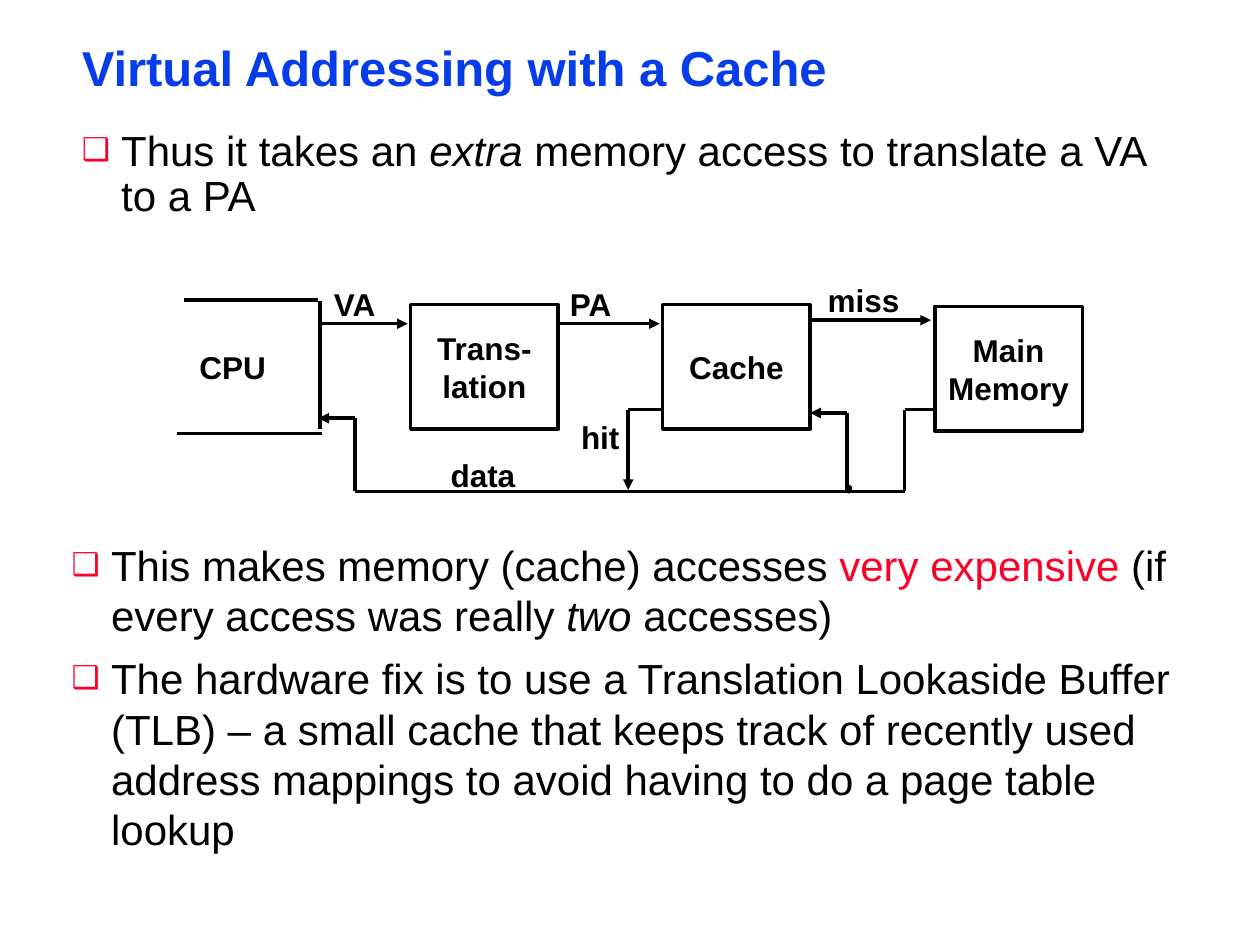
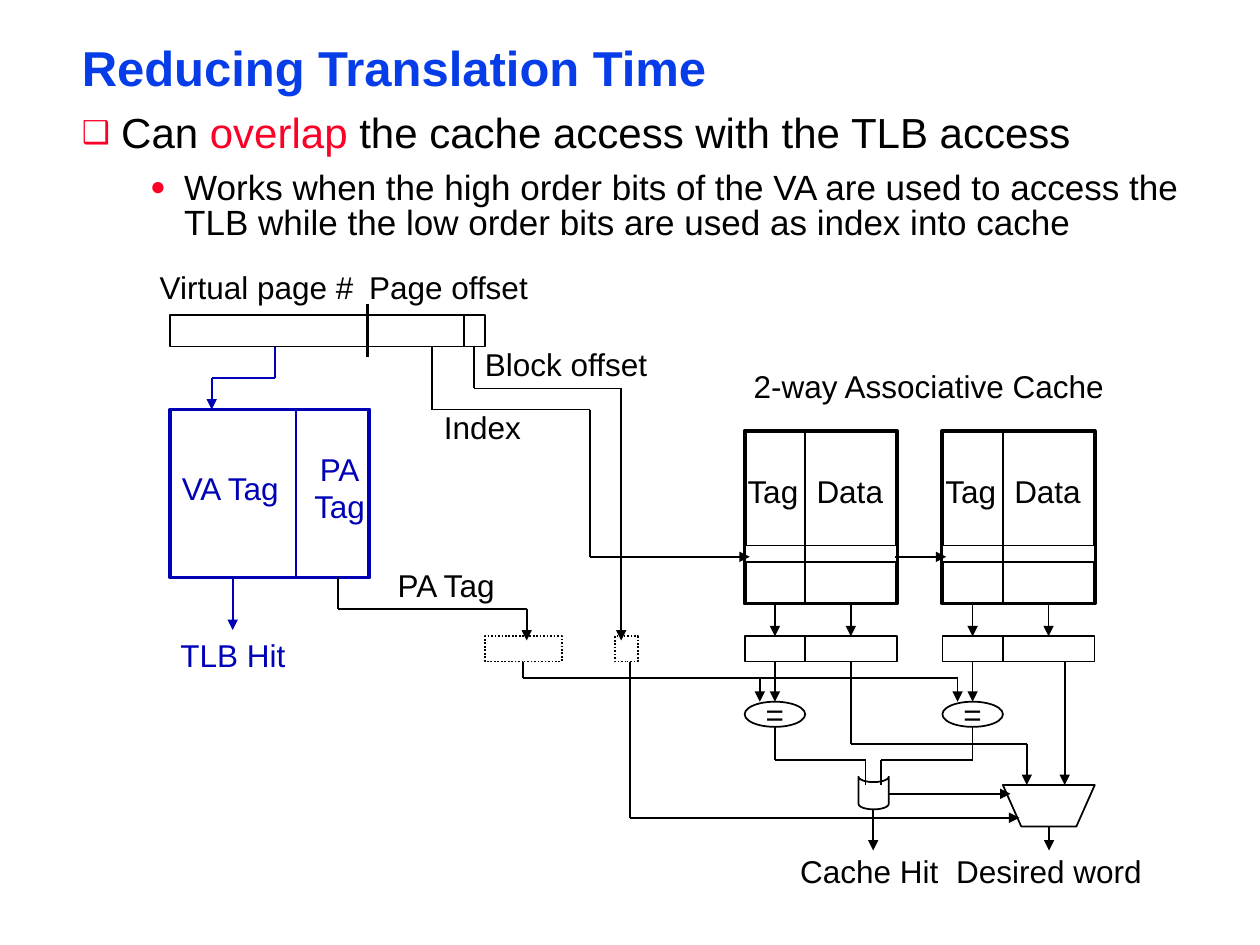
"""Build two slides on virtual addressing, caches and the TLB."""
from itertools import pairwise

from pptx import Presentation, oxml, util as u
from pptx.dml import color
from pptx.enum import dml, shapes, text
from pptx.oxml import ns

COLORS = {
    "title": "063DE8",
    "accent": "FC0128",
    "ink": "000000",
    "paper": "FFFFFF",
    "tlb": "0000B6",
}
FONT = "Arial"
BODY_LEFT, BODY_WIDTH = 41.75, 642.25
TIGHT, NORMAL = (5, 2.2), (7.2, 3.6)
THIN, MEDIUM, THICK = 1, 2, 2.25
BLOCK_BULLET, DOT_BULLET = "\u2751", "\u25cf"
KIND = shapes.MSO_SHAPE


def rgb(name):
    return color.RGBColor.from_string(COLORS[name])


def points(*values):
    return [u.Pt(value) for value in values]


def style_run(run, size, name="ink", bold=False, italic=False):
    run.font.name = FONT
    run.font.size = u.Pt(size)
    run.font.bold = bold
    run.font.italic = italic
    run.font.color.rgb = rgb(name)


def set_frame(frame, insets, anchor, wrap=True):
    frame.margin_left = frame.margin_right = u.Pt(insets[0])
    frame.margin_top = frame.margin_bottom = u.Pt(insets[1])
    frame.vertical_anchor = anchor
    frame.word_wrap = wrap


def place(shape, left, top, width, height):
    shape.left, shape.top, shape.width, shape.height = points(left, top, width, height)


def set_bullet(paragraph, character, left, hanging):
    properties = paragraph._p.get_or_add_pPr()
    properties.set("marL", str(u.Pt(left)))
    properties.set("indent", str(-u.Pt(hanging)))
    bullet_color = oxml.parse_xml(
        f'<a:buClr {ns.nsdecls("a")}><a:srgbClr val="{COLORS["accent"]}"/></a:buClr>')
    bullet_size = oxml.parse_xml(f'<a:buSzPct {ns.nsdecls("a")} val="75000"/>')
    bullet_font = oxml.parse_xml(f'<a:buFont {ns.nsdecls("a")} typeface="{FONT}"/>')
    bullet = oxml.parse_xml(f'<a:buChar {ns.nsdecls("a")} char="{character}"/>')
    properties.extend([bullet_color, bullet_size, bullet_font, bullet])


def fill_list(frame, items, spacing=None):
    """Write (level, pieces) items, each piece being (wording, run style)."""
    set_frame(frame, TIGHT, text.MSO_ANCHOR.TOP)
    frame.auto_size = text.MSO_AUTO_SIZE.NONE
    for index, (level, pieces) in enumerate(items):
        paragraph = frame.add_paragraph() if index else frame.paragraphs[0]
        paragraph.level = level
        paragraph.alignment = text.PP_ALIGN.LEFT
        paragraph.space_before = u.Pt(8 if level else 7.2) if index else u.Pt(0)
        paragraph.line_spacing = spacing[level] if spacing else 1
        if level:
            set_bullet(paragraph, DOT_BULLET, 58.5, 19.5)
        else:
            set_bullet(paragraph, BLOCK_BULLET, 22.5, 22.5)
        for wording, style in pieces:
            run = paragraph.add_run()
            run.text = wording
            style_run(run, 20 if level else 24, **style)


def add_content_slide(presentation, title, top, height, items):
    """Add a slide with the shared title style and a bulleted body."""
    slide = presentation.slides.add_slide(presentation.slide_layouts[1])
    heading, body = slide.shapes.title, slide.placeholders[1]
    place(heading, BODY_LEFT, 24, BODY_WIDTH, 33)
    heading.text_frame.text = title
    set_frame(heading.text_frame, TIGHT, text.MSO_ANCHOR.TOP)
    heading.text_frame.auto_size = text.MSO_AUTO_SIZE.NONE
    paragraph = heading.text_frame.paragraphs[0]
    paragraph.alignment = text.PP_ALIGN.LEFT
    paragraph.line_spacing = 0.87
    style_run(paragraph.runs[0], 28, "title", bold=True)
    place(body, BODY_LEFT, top, BODY_WIDTH, height)
    fill_list(body.text_frame, items, spacing=(0.9, 0.85))
    return slide


def write_lines(frame, wording, name, bold, centred=True, spacing=None):
    frame.text = wording
    for paragraph in frame.paragraphs:
        paragraph.alignment = text.PP_ALIGN.CENTER if centred else text.PP_ALIGN.LEFT
        if spacing:
            paragraph.line_spacing = spacing
        for run in paragraph.runs:
            style_run(run, 18, name, bold=bold)


def add_label(canvas, wording, left, top, width, height=28.8, name="ink", centred=True):
    box = canvas.add_textbox(*points(left, top, width, height))
    set_frame(box.text_frame, NORMAL, text.MSO_ANCHOR.MIDDLE, wrap=not centred)
    box.text_frame.auto_size = text.MSO_AUTO_SIZE.SHAPE_TO_FIT_TEXT
    write_lines(box.text_frame, wording, name, bold=False, centred=centred)


def add_signal_label(canvas, wording, left, top, width):
    box = canvas.add_textbox(*points(left, top, width, 22.3))
    set_frame(box.text_frame, (0, TIGHT[1]), text.MSO_ANCHOR.TOP, wrap=False)
    box.text_frame.auto_size = text.MSO_AUTO_SIZE.NONE
    write_lines(box.text_frame, wording, "ink", bold=True, spacing=0.85)


def add_block(canvas, kind, left, top, width, height, line="ink", weight=THIN,
              fill="paper", dotted=False):
    block = canvas.add_shape(kind, *points(left, top, width, height))
    block.shadow.inherit = False
    if fill:
        block.fill.solid()
        block.fill.fore_color.rgb = rgb(fill)
    else:
        block.fill.background()
    block.line.color.rgb = rgb(line)
    block.line.width = u.Pt(weight)
    if dotted:
        block.line.dash_style = dml.MSO_LINE.ROUND_DOT
    return block


def add_wire(canvas, *stops, name="ink", weight=THIN, arrow=False):
    """Join the stops with straight lines, with an optional arrowhead at the end."""
    for start, end in pairwise(stops):
        wire = canvas.add_connector(shapes.MSO_CONNECTOR.STRAIGHT, *points(*start, *end))
        wire.line.color.rgb = rgb(name)
        wire.line.width = u.Pt(weight)
        properties = wire.element.spPr
        if arrow and end == stops[-1]:
            head = oxml.parse_xml(f'<a:tailEnd {ns.nsdecls("a")} type="triangle"/>')
            properties.find(ns.qn("a:ln")).append(head)
        properties.append(oxml.parse_xml(f'<a:effectLst {ns.nsdecls("a")}/>'))


def add_memory_path(canvas):
    """Draw the CPU, translation, cache and main memory with their signals."""
    for start, end in (((105, 171.3), (182, 171.3)), ((183, 172), (183, 245)),
                       ((184, 247.8), (101, 247.8))):
        add_wire(canvas, start, end, weight=MEDIUM)

    for wording, left, top in (("Trans-\nlation", 234.7, 174), ("Cache", 378.7, 174),
                               ("Main\nMemory", 534.2, 175)):
        block = add_block(canvas, KIND.RECTANGLE, left, top, 84.3, 71.3,
                          weight=MEDIUM, fill=None)
        set_frame(block.text_frame, NORMAL, text.MSO_ANCHOR.MIDDLE, wrap=False)
        write_lines(block.text_frame, wording, "ink", bold=True)

    data_line = 280.8
    for stops, arrow in (
        (((184, 185), (233, 185)), True),
        (((319, 185), (377, 185)), True),
        (((463.5, 183), (532, 183)), True),
        (((534, 234), (517, 234), (517, data_line), (203, data_line),
          (203, 239), (182, 239)), True),
        (((484, data_line), (484, 236), (463, 236)), True),
        (((378.7, 234), (359, 234), (359, 280)), True),
    ):
        add_wire(canvas, *stops, weight=MEDIUM, arrow=arrow)
    add_block(canvas, KIND.OVAL, 484, 278, 2, 3, weight=MEDIUM, fill="accent")

    for label in (("CPU", 108, 200, 50), ("VA", 182.7, 164, 40),
                  ("PA", 317.5, 164, 40), ("miss", 466, 161.5, 55),
                  ("hit", 324, 240, 38), ("data", 251, 261.5, 50)):
        add_signal_label(canvas, *label)


def add_cache_way(canvas, left):
    """Draw one way of the cache with its output register and comparator."""
    width, split, tag, data = 87, 34.6, left + 17.3, left + 60.7
    add_block(canvas, KIND.RECTANGLE, left, 246.2, width, 98.7, weight=THICK)
    add_block(canvas, KIND.RECTANGLE, left, 311.8, width, 9.4)
    add_block(canvas, KIND.RECTANGLE, left, 363.6, width, 14.4)
    for top, bottom in ((246.2, 344.9), (363.6, 378)):
        add_wire(canvas, (left + split, top), (left + split, bottom))
    add_label(canvas, "Tag", left - 6.5, 266.4, 45.4)
    add_label(canvas, "Data", left + 33.8, 266.4, 52.6)
    for center in (tag, data):
        add_wire(canvas, (center, 344.9), (center, 363.6), arrow=True)
    add_block(canvas, KIND.OVAL, left, 401, split, 14.4)
    add_label(canvas, "=", left + 4.7, 393.8, 25.2)
    add_wire(canvas, (tag, 378), (tag, 401), arrow=True)


def add_virtual_address(canvas):
    """Draw the address fields and the TLB below them."""
    add_block(canvas, KIND.RECTANGLE, 97.2, 180, 180, 18)
    add_wire(canvas, (210, 174), (210, 204), weight=THICK)
    add_wire(canvas, (265, 180), (265, 198))
    add_block(canvas, KIND.RECTANGLE, 97.2, 234, 113.8, 96, line="tlb", weight=THICK)
    add_wire(canvas, (169, 234), (169, 330), name="tlb")
    add_wire(canvas, (157, 198), (157, 216), (121, 216), (121, 234),
             name="tlb", arrow=True)
    add_wire(canvas, (133, 330), (133, 360), name="tlb", arrow=True)


def add_select_logic(canvas):
    """Draw the hit gate, the word multiplexer and the wires into them."""
    for left, width in ((277.2, 43.8), (351.4, 13)):
        add_block(canvas, KIND.RECTANGLE, left, 363.6, width, 14.4, dotted=True)
    gate = add_block(canvas, KIND.FLOWCHART_STORED_DATA, 489.9, 444.5, 18.7, 17.3)
    gate.rotation = 270
    add_block(canvas, KIND.FLOWCHART_MANUAL_OPERATION, 573.1, 448.6, 52.5, 23.7)
    for stops in (
        ((299, 378), (299, 387.4), (547.2, 387.4)),
        ((442.8, 415.4), (442.8, 434.2), (494.6, 434.2), (494.6, 448.6)),
        ((555.8, 415.4), (555.8, 434.2), (503.3, 434.2), (503.3, 448.6)),
    ):
        add_wire(canvas, *stops)
    for stops in (
        ((434.2, 387.4), (434.2, 401)),
        ((547.2, 387.4), (547.2, 401)),
        ((499, 463), (499, 486)),
        ((608.4, 378), (608.4, 448.6)),
        ((486.2, 378), (486.2, 425), (586.8, 425), (586.8, 448.6)),
        ((599.5, 472.3), (599.5, 486)),
        ((508.3, 453.6), (577.4, 453.6)),
        ((360, 378), (360, 467.3), (582.5, 467.3)),
        ((247, 198), (247, 234), (337, 234), (337, 318.2), (428.4, 318.2)),
        ((511.2, 318.2), (540.7, 318.2)),
        ((271, 198), (271, 222), (355, 222), (355, 366)),
        ((193, 330), (193, 348), (301, 348), (301, 366)),
    ):
        add_wire(canvas, *stops, arrow=True)


def add_overlap_labels(canvas):
    for label in (("Cache Hit", 450, 483.1, 93.6), ("Desired word", 539.3, 483.1, 120.2),
                  ("2-way Associative Cache", 419.8, 206, 221.8),
                  ("Index", 212.7, 229.7, 126), ("PA Tag", 198, 319.7, 113.8)):
        add_label(canvas, *label)
    for label in (("VA Tag", 94.5, 264.2, 74.2), ("PA\nTag", 171.4, 253.4, 45.4, 50.4),
                  ("TLB Hit", 96, 360, 74.2)):
        add_label(canvas, *label, name="tlb")
    for label in (("Block offset", 270, 193.7), ("Page offset", 203.8, 149.8),
                  ("Virtual page #", 84.2, 149.8)):
        add_label(canvas, *label, 138.2, centred=False)


def main():
    presentation = Presentation()
    presentation.slide_width, presentation.slide_height = points(720, 540)
    italic, accent = {"italic": True}, {"name": "accent"}

    slide = add_content_slide(
        presentation, "Virtual Addressing with a Cache", 72, 61.2,
        [(0, [("Thus it takes an ", {}), ("extra", italic),
              (" memory access to translate a VA to a PA", {})])])
    add_memory_path(slide.shapes.add_group_shape().shapes)
    conclusions = slide.shapes.add_textbox(*points(36, 306, BODY_WIDTH, 185))
    fill_list(conclusions.text_frame, [
        (0, [("This makes memory (cache) accesses ", {}), ("very expensive", accent),
             (" (if every access was really ", {}), ("two", italic), (" accesses)", {})]),
        (0, [("The hardware fix is to use a Translation Lookaside Buffer (TLB) \u2013 "
              "a small cache that keeps track of recently used address mappings to "
              "avoid having to do a page table lookup", {})])])

    slide = add_content_slide(
        presentation, "Reducing Translation Time", 62, 87.8,
        [(0, [("Can ", {}), ("overlap", accent),
              (" the cache access with the TLB access", {})]),
         (1, [("Works when the high order bits of the VA are used to access the TLB "
               "while the low order bits are used as index into cache", {})])])
    for left in (425.5, 538.5):
        add_cache_way(slide.shapes, left)
    add_virtual_address(slide.shapes)
    add_select_logic(slide.shapes)
    add_overlap_labels(slide.shapes)
    presentation.save("out.pptx")


main()
